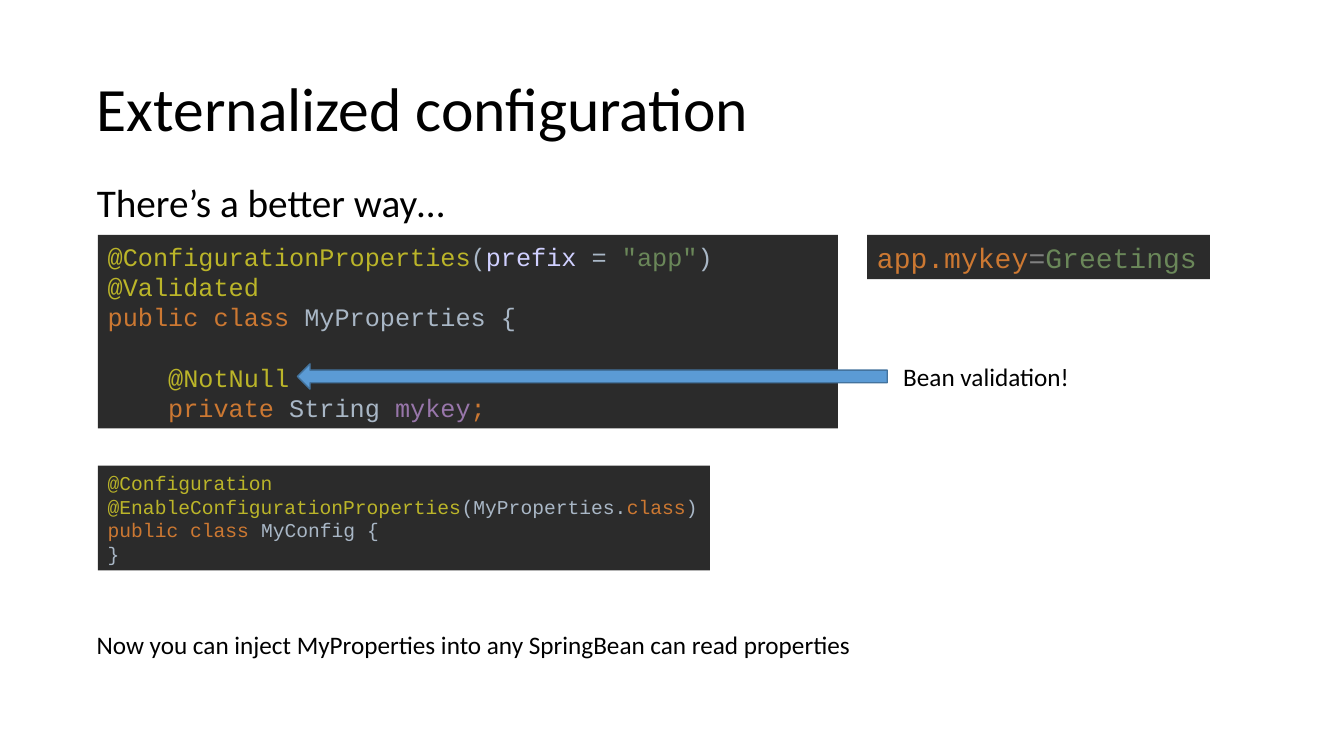
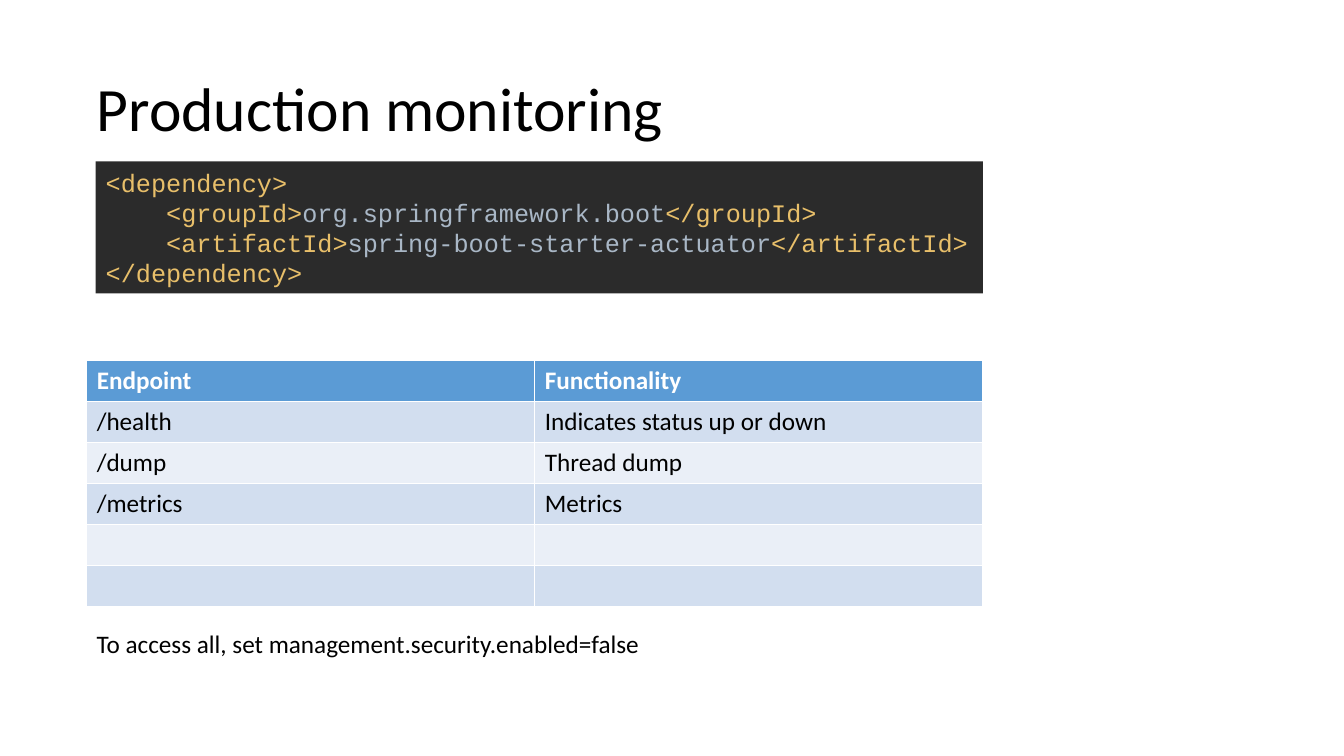
"""Build two slides on configuration properties and production monitoring."""
import pptx
import pptx.dml.color
import pptx.enum.shapes
import pptx.enum.text
import pptx.util
import lxml.etree

Inches, Pt = pptx.util.Inches, pptx.util.Pt
ANCHOR, SHAPE = pptx.enum.text.MSO_ANCHOR, pptx.enum.shapes.MSO_SHAPE

BLACK, WHITE, BLUE, BLUE_EDGE = "000000", "FFFFFF", "5B9BD5", "43739E"
BANDS = ("D2DEEF", "EAEFF7")
CODE_FILL = "2B2B2B"
CODE = {
    "note": "BBB529", "plain": "A9B7C6", "arg": "D0D0FF", "string": "6A8759",
    "word": "CC7832", "field": "9876AA", "sign": "808080", "tag": "E8BF6A",
}
TITLE_BOX = (0.86, 0.64, 11.59, 0.84)
BODY_BOX = (0.86, 1.72, 11.59, 0.6)
LINE_FACTOR = 1.2

# Each code line: indent level, blank lines before it, coloured tokens.
PROPERTIES_CODE = [
    (0, 0, [("@ConfigurationProperties", "note"), ("(", "plain"), ("prefix ", "arg"),
            ("= ", "plain"), ('"app"', "string"), (")", "plain")]),
    (0, 0, [("@Validated", "note")]),
    (0, 0, [("public class ", "word"), ("MyProperties {", "plain")]),
    (1, 1, [("@NotNull", "note")]),
    (1, 0, [("private ", "word"), ("String ", "plain"), ("mykey", "field"), (";", "word")]),
]
KEY_CODE = [(0, 0, [("app.mykey", "word"), ("=", "sign"), ("Greetings", "string")])]
CONFIG_CODE = [
    (0, 0, [("@Configuration", "note")]),
    (0, 0, [("@EnableConfigurationProperties", "note"), ("(MyProperties.", "plain"),
            ("class", "word"), (")", "plain")]),
    (0, 0, [("public class ", "word"), ("MyConfig {", "plain")]),
    (0, 0, [("}", "plain")]),
]
DEPENDENCY_CODE = [
    (0, 0, [("<dependency>", "tag")]),
    (1, 0, [("<groupId>", "tag"), ("org.springframework.boot", "plain"),
            ("</groupId>", "tag")]),
    (1, 0, [("<artifactId>", "tag"), ("spring-boot-starter-actuator", "plain"),
            ("</artifactId>", "tag")]),
    (0, 0, [("</dependency>", "tag")]),
]

SLIDES = [
    {
        "title": "Externalized configuration",
        "body": "There’s a better way…",
        "code": [((0.97, 2.33, 7.34, 1.92), 18, PROPERTIES_CODE),
                 ((8.6, 2.33, 3.4, 0.44), 20, KEY_CODE),
                 ((0.97, 4.62, 6.07, 1.04), 14, CONFIG_CODE)],
        "labels": [((0.86, 6.19, 8, 0.4),
                    "Now you can inject MyProperties into any SpringBean can read properties"),
                   ((8.86, 3.54, 3.82, 0.4), "Bean validation!")],
        "arrow": (2.95, 3.61, 5.85, 0.25),
    },
    {
        "title": "Production monitoring",
        "code": [((0.95, 1.6, 8.8, 1.31), 18, DEPENDENCY_CODE)],
        "labels": [((0.86, 6.18, 6, 0.4),
                    "To access all, set management.security.enabled=false")],
        "table": ((0.86, 3.58, 8.89, 2.43), [
            ("Endpoint", "Functionality"),
            ("/health", "Indicates status up or down"),
            ("/dump", "Thread dump"),
            ("/metrics", "Metrics"),
            ("", ""),
            ("", ""),
        ]),
    },
]


def rgb(value):
    """Turn a hex string into a colour."""
    return pptx.dml.color.RGBColor.from_string(value)


def inches(box):
    """Turn plain numbers into lengths."""
    return [Inches(v) for v in box]


def apply(obj, **fmt):
    """Set each named format value on an object."""
    for name, value in fmt.items():
        setattr(obj, name, value)


def paint(fill, color):
    """Give a fill one solid colour."""
    fill.solid()
    fill.fore_color.rgb = rgb(color)


def add_run(p, text, size, color=BLACK, font="Calibri", bold=False):
    """Append a formatted run to a paragraph."""
    r = p.add_run()
    r.text = text
    apply(r.font, size=Pt(size), name=font, bold=bold)
    r.font.color.rgb = rgb(color)


def fill_text(tf, text, size):
    """Write one left-aligned line at the top of a frame."""
    apply(tf, word_wrap=True, vertical_anchor=ANCHOR.TOP,
          auto_size=pptx.enum.text.MSO_AUTO_SIZE.NONE)
    p = tf.paragraphs[0]
    apply(p, alignment=pptx.enum.text.PP_ALIGN.LEFT, space_before=Pt(0))
    add_run(p, text, size)
    return p


def add_block(s, kind, box, color):
    """Add a flat filled shape without outline."""
    sp = s.shapes.add_shape(kind, *inches(box))
    sp.shadow.inherit = False
    paint(sp.fill, color)
    sp.line.fill.background()
    return sp


def add_code(s, box, size, lines):
    """Add a dark panel of coloured code."""
    tf = add_block(s, SHAPE.RECTANGLE, box, CODE_FILL).text_frame
    apply(tf, word_wrap=True, vertical_anchor=ANCHOR.MIDDLE)
    pitch = Pt(size * LINE_FACTOR)
    for i, (level, blanks, tokens) in enumerate(lines):
        p = tf.add_paragraph() if i else tf.paragraphs[0]
        apply(p, alignment=pptx.enum.text.PP_ALIGN.LEFT, line_spacing=pitch,
              space_before=blanks * pitch)
        p._p.get_or_add_pPr().set("marL", str(Pt(size * 0.6 * 4 * level)))
        for text, token in tokens:
            add_run(p, text, size, CODE[token], "Courier New")


def add_arrow(s, box):
    """Add the outlined arrow that points left."""
    sp = add_block(s, SHAPE.LEFT_ARROW, box, BLUE)
    paint(sp.line.fill, BLUE_EDGE)
    sp.line.width = Pt(1)


def add_grid(s, box, rows):
    """Add a table with a blue header and banded rows."""
    table = s.shapes.add_table(len(rows), len(rows[0]), *inches(box)).table
    for i, row in enumerate(rows):
        for j, text in enumerate(row):
            cell = table.cell(i, j)
            paint(cell.fill, BANDS[(i - 1) % 2] if i else BLUE)
            if text:
                add_run(cell.text_frame.paragraphs[0], text, 18,
                        BLACK if i else WHITE, bold=not i)


def add_slide(prs, data):
    """Add one slide from its content."""
    s = prs.slides.add_slide(prs.slide_layouts[1 if "body" in data else 5])
    fill_text(s.shapes.title.text_frame, data["title"], 44)
    if "body" in data:
        p = fill_text(s.placeholders[1].text_frame, data["body"], 28)
        pPr = p._p.get_or_add_pPr()
        for name in ("marL", "indent"):
            pPr.set(name, "0")
        lxml.etree.SubElement(pPr, pptx.oxml.ns.qn("a:buNone"))
    for panel in data["code"]:
        add_code(s, *panel)
    if "table" in data:
        add_grid(s, *data["table"])
    for box, text in data["labels"]:
        fill_text(s.shapes.add_textbox(*inches(box)).text_frame, text, 18)
    if "arrow" in data:
        add_arrow(s, data["arrow"])


def main():
    """Build and save the presentation."""
    prs = pptx.Presentation()
    apply(prs, slide_width=Inches(13.33), slide_height=Inches(7.5))
    for sp, box in zip(prs.slide_master.placeholders, (TITLE_BOX, BODY_BOX)):
        apply(sp, **dict(zip(("left", "top", "width", "height"), inches(box))))
    for data in SLIDES:
        add_slide(prs, data)
    prs.save("out.pptx")


if __name__ == "__main__":
    main()
